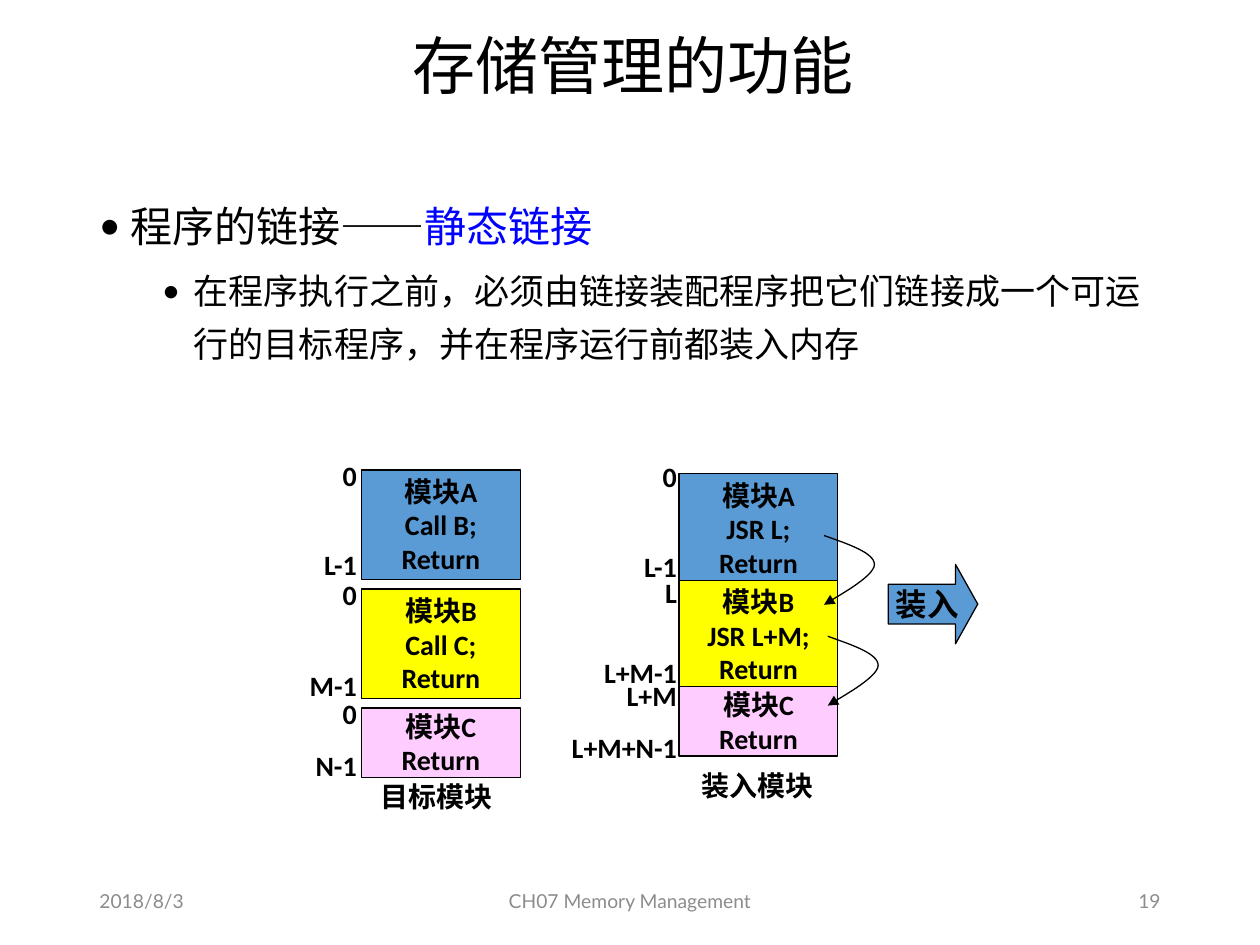
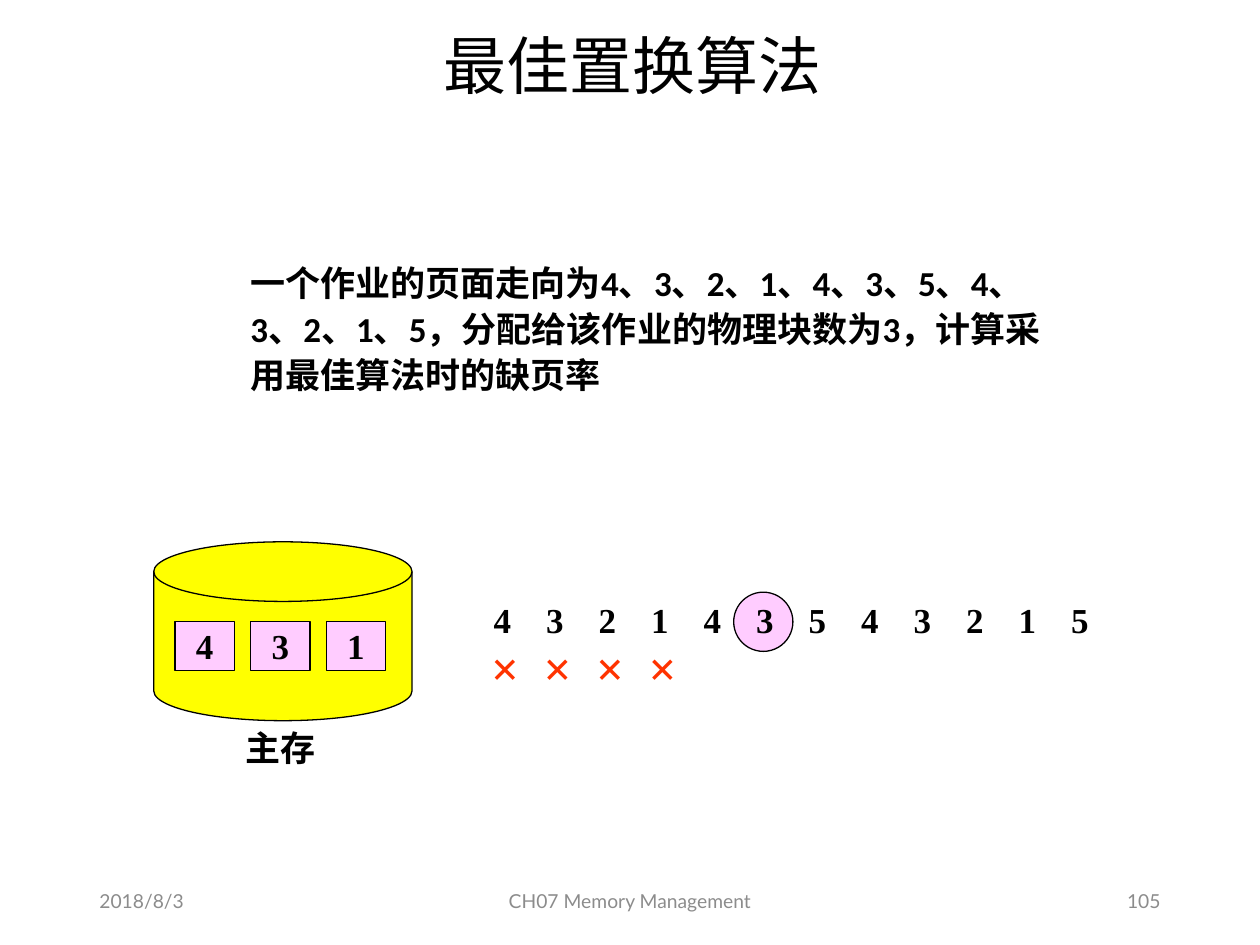
import dataclasses

import lxml.etree
import pptx
import pptx.dml.color
import pptx.enum.shapes
import pptx.enum.text
import pptx.oxml.ns
import pptx.util

SHAPE = pptx.enum.shapes.MSO_SHAPE
ALIGN = pptx.enum.text.PP_ALIGN
ANCHOR = pptx.enum.text.MSO_ANCHOR
COLUMNS, ROWS = 100, 75
UNIT = pptx.util.Inches(10) // COLUMNS


@dataclasses.dataclass(frozen=True)
class Type:
    size: int
    font: str
    color: str = "000000"
    bold: bool = False


@dataclasses.dataclass(frozen=True)
class Theme:
    ink: str = "000000"
    blue: str = "5B9BD5"
    yellow: str = "FFFF00"
    pink: str = "FFCCFF"
    accent: str = "0000FF"
    east_asian: str = "Noto Sans CJK SC"
    bullet_font: str = "Calibri"
    outline: float = 0.75
    title: Type = Type(36, "Noto Sans CJK SC")
    topic: Type = Type(24, "Noto Sans CJK SC")
    detail: Type = Type(20, "Noto Sans CJK SC")
    footer: Type = Type(11, "Lato", "8C8C8C")
    module: Type = Type(16, "Calibri", bold=True)
    load: Type = Type(18, "Calibri", bold=True)
    question: Type = Type(20, "Calibri", bold=True)
    page: Type = Type(20, "Times New Roman", bold=True)
    fault: Type = Type(28, "Times New Roman", "FF3300", True)


THEME = Theme()


@dataclasses.dataclass(frozen=True)
class Box:
    left: float
    top: float
    width: float
    height: float

    def inner(self, column, row, width, height):
        return Box(self.left + column, self.top + row, width, height)

    def emu(self):
        return [round(v * UNIT) for v in (self.left, self.top, self.width, self.height)]


def rgb(color):
    return pptx.dml.color.RGBColor.from_string(color)


def add_xml(parent, tag, **attributes):
    return lxml.etree.SubElement(parent, pptx.oxml.ns.qn(tag), attributes)


def set_type(paragraph, style):
    font = paragraph.font
    font.size = pptx.util.Pt(style.size)
    font.bold = style.bold
    font.color.rgb = rgb(style.color)
    font.name = style.font
    add_xml(paragraph._p.pPr.find(pptx.oxml.ns.qn("a:defRPr")), "a:ea",
            typeface=THEME.east_asian)


def set_indent(paragraph, margin, hanging=0, bullet=None):
    properties = paragraph._p.get_or_add_pPr()
    properties.set("marL", str(round(margin * UNIT)))
    properties.set("indent", str(round(-hanging * UNIT)))
    if bullet:
        add_xml(properties, "a:buFont", typeface=THEME.bullet_font)
        add_xml(properties, "a:buChar", char=bullet)


def write(shape, lines, style, align, anchor, wrap):
    frame = shape.text_frame
    frame.word_wrap = wrap
    frame.vertical_anchor = anchor
    for index, line in enumerate(lines):
        paragraph = frame.add_paragraph() if index else frame.paragraphs[0]
        paragraph.add_run().text = line
        paragraph.alignment = align
        set_type(paragraph, style)
    return frame


def add_text(slide, box, line, style, align=ALIGN.LEFT, anchor=ANCHOR.TOP):
    return write(slide.shapes.add_textbox(*box.emu()), [line], style, align, anchor, True)


def set_outline(shape):
    shape.shadow.inherit = False
    shape.line.color.rgb = rgb(THEME.ink)
    shape.line.width = pptx.util.Pt(THEME.outline)


def add_figure(slide, kind, box, fill, lines=(), style=THEME.module):
    figure = slide.shapes.add_shape(kind, *box.emu())
    set_outline(figure)
    figure.fill.solid()
    figure.fill.fore_color.rgb = rgb(fill)
    if lines:
        write(figure, lines, style, ALIGN.CENTER, ANCHOR.MIDDLE, False)
    return figure


def add_frame(presentation, title, number):
    slide = presentation.slides.add_slide(presentation.slide_layouts[6])
    heading = add_text(slide, Box(7.1, 1.7, 86.2, 7.6), title, THEME.title,
                       ALIGN.CENTER, ANCHOR.MIDDLE)
    heading.paragraphs[0].line_spacing = 0.9
    for left, width, line, align in (
        (6.9, 22.5, "2018/8/3", ALIGN.LEFT),
        (33.1, 33.8, "CH07 Memory Management", ALIGN.CENTER),
        (70.6, 22.5, str(number), ALIGN.RIGHT),
    ):
        add_text(slide, Box(left, 69.5, width, 4), line, THEME.footer, align, ANCHOR.MIDDLE)
    return slide


def add_linking_text(slide, box):
    frame = slide.shapes.add_textbox(*box.emu()).text_frame
    frame.word_wrap = True
    topic, detail = frame.paragraphs[0], frame.add_paragraph()
    topic.add_run().text = "程序的链接——"
    emphasis = topic.add_run()
    emphasis.text = "静态链接"
    emphasis.font.color.rgb = rgb(THEME.accent)
    detail.add_run().text = ("在程序执行之前，必须由链接装配程序把它们链接成一个可运行的目标程序，"
                             "并在程序运行前都装入内存")
    detail.level = 1
    detail.space_before = pptx.util.Pt(5)
    for paragraph, margin, style in ((topic, 2.5, THEME.topic), (detail, 7.5, THEME.detail)):
        paragraph.line_spacing = 1.25
        set_indent(paragraph, margin, 2.5, "•")
        set_type(paragraph, style)


def add_modules(slide, box, gap, label_edge, code, labels, caption, caption_place):
    row = 0
    heights = (8.7, 8.7, 5.5)
    fills = (THEME.blue, THEME.yellow, THEME.pink)
    for height, fill, lines, addresses in zip(heights, fills, code, labels):
        add_figure(slide, SHAPE.RECTANGLE, box.inner(0, row, box.width, height), fill, lines)
        for address, drop, width in addresses:
            add_text(slide, box.inner(label_edge - width, row + drop, width, 3.7),
                     address, THEME.module, ALIGN.RIGHT)
        row += height + gap
    add_text(slide, box.inner(*caption_place, 12.1, 3.7), caption, THEME.module)


def bezier(start, first, second, end, steps=16):
    for step in range(1, steps + 1):
        t = step / steps
        weights = ((1 - t) ** 3, 3 * t * (1 - t) ** 2, 3 * t * t * (1 - t), t ** 3)
        yield tuple(sum(w * p[axis] for w, p in zip(weights, (start, first, second, end)))
                    for axis in (0, 1))


def add_jump(slide, box):
    start, bend, end = (0, 0), (1, 0.42), (0, 1)
    points = [*bezier(start, (0.5, 0.13), (1, 0.25), bend),
              *bezier(bend, (1, 0.6), (0.18, 0.91), end)]
    left, top, width, height = box.emu()
    builder = slide.shapes.build_freeform(left, top)
    builder.add_line_segments(
        [(round(left + x * width), round(top + y * height)) for x, y in points], close=False)
    jump = builder.convert_to_shape()
    set_outline(jump)
    jump.fill.background()
    add_xml(jump.line._get_or_add_ln(), "a:tailEnd", type="triangle")


def add_linking_diagram(slide, box):
    add_modules(
        slide, box.inner(0, 0, 12.6, 24.4), 0.75, 0.6,
        (("模块A", "Call B;", "Return"), ("模块B", "Call C;", "Return"), ("模块C", "Return")),
        ((("0", -1.4, 4.7), ("L-1", 5.7, 5.7)),
         (("0", -1.4, 4.7), ("M-1", 5.8, 6.3)),
         (("0", -1.4, 4.7), ("N-1", 2.7, 5.7))),
        "目标模块", (0.5, 24.1))
    loaded = box.inner(25.2, 0.3, 12.6, 22.4)
    add_modules(
        slide, loaded, -0.25, 0.8,
        (("模块A", "JSR L;", "Return"), ("模块B", "JSR L+M;", "Return"), ("模块C", "Return")),
        ((("0", -1.6, 4.7), ("L-1", 5.5, 5.7)),
         (("L", -0.9, 4.7), ("L+M-1", 5.5, 11)),
         (("L+M", -1.1, 8.7), ("L+M+N-1", 3, 11.8))),
        "装入模块", (0.8, 22.9))
    for index in range(2):
        add_jump(slide, loaded.inner(11.5 + 0.3 * index, 4.9 + 8 * index, 4, 5.5))
    arrow = add_figure(slide, SHAPE.RIGHT_ARROW, box.inner(41.8, 7.5, 7.1, 6.3),
                       THEME.blue, ["装入"], THEME.load)
    arrow.adjustments[1] = 0.28


def add_question(slide, box):
    question = add_text(
        slide, box,
        "一个作业的页面走向为4、3、2、1、4、3、5、4、3、2、1、5，"
        "分配给该作业的物理块数为3，计算采用最佳算法时的缺页率",
        THEME.question).paragraphs[0]
    question.line_spacing = 1.1
    set_indent(question, 8.3)


def add_memory(slide, box, pages):
    add_figure(slide, SHAPE.FLOWCHART_MAGNETIC_DISK, box, THEME.yellow)
    for index, page in enumerate(pages):
        add_figure(slide, SHAPE.RECTANGLE, box.inner(1.7 + 6 * index, 6.3, 4.7, 3.9),
                   THEME.pink, [page], THEME.page)
    add_text(slide, box.inner(6.3, box.height, 8.7, 4.3), "主存", THEME.page)


def add_page_trace(slide, box, pages, current, faults):
    pitch = 100 * 30 / 720
    add_figure(slide, SHAPE.OVAL, box.inner(current * pitch - 0.8, 0, 4.7, 4.7), THEME.pink)
    shape = slide.shapes.add_textbox(*box.inner(0, 0, box.width, 4.3).emu())
    shape.text_frame.word_wrap = True
    trace = shape.text_frame.paragraphs[0]
    trace.add_run().text = "\t".join(pages)
    stops = add_xml(trace._p.get_or_add_pPr(), "a:tabLst")
    for index in range(1, len(pages)):
        add_xml(stops, "a:tab", pos=str(round(index * pitch * UNIT)), algn="l")
    set_type(trace, THEME.page)
    for index in range(faults):
        add_text(slide, box.inner(index * pitch - 0.2, 3.1, 3.9, 5.7), "×", THEME.fault)


def main():
    presentation = pptx.Presentation()
    presentation.slide_width = COLUMNS * UNIT
    presentation.slide_height = ROWS * UNIT

    linking = add_frame(presentation, "存储管理的功能", 19)
    add_linking_text(linking, Box(6.9, 14.4, 86.2, 53.8))
    add_linking_diagram(linking, Box(28.7, 37.3, 48.9, 27.8))

    replacement = add_frame(presentation, "最佳置换算法", 105)
    add_question(replacement, Box(10.6, 19.9, 74, 12.1))
    add_page_trace(replacement, Box(38.2, 47, 51.2, 8.8), "432143543215", 5, 4)
    add_memory(replacement, Box(12.2, 43, 20.5, 14.2), "431")

    presentation.save("out.pptx")


if __name__ == "__main__":
    main()
